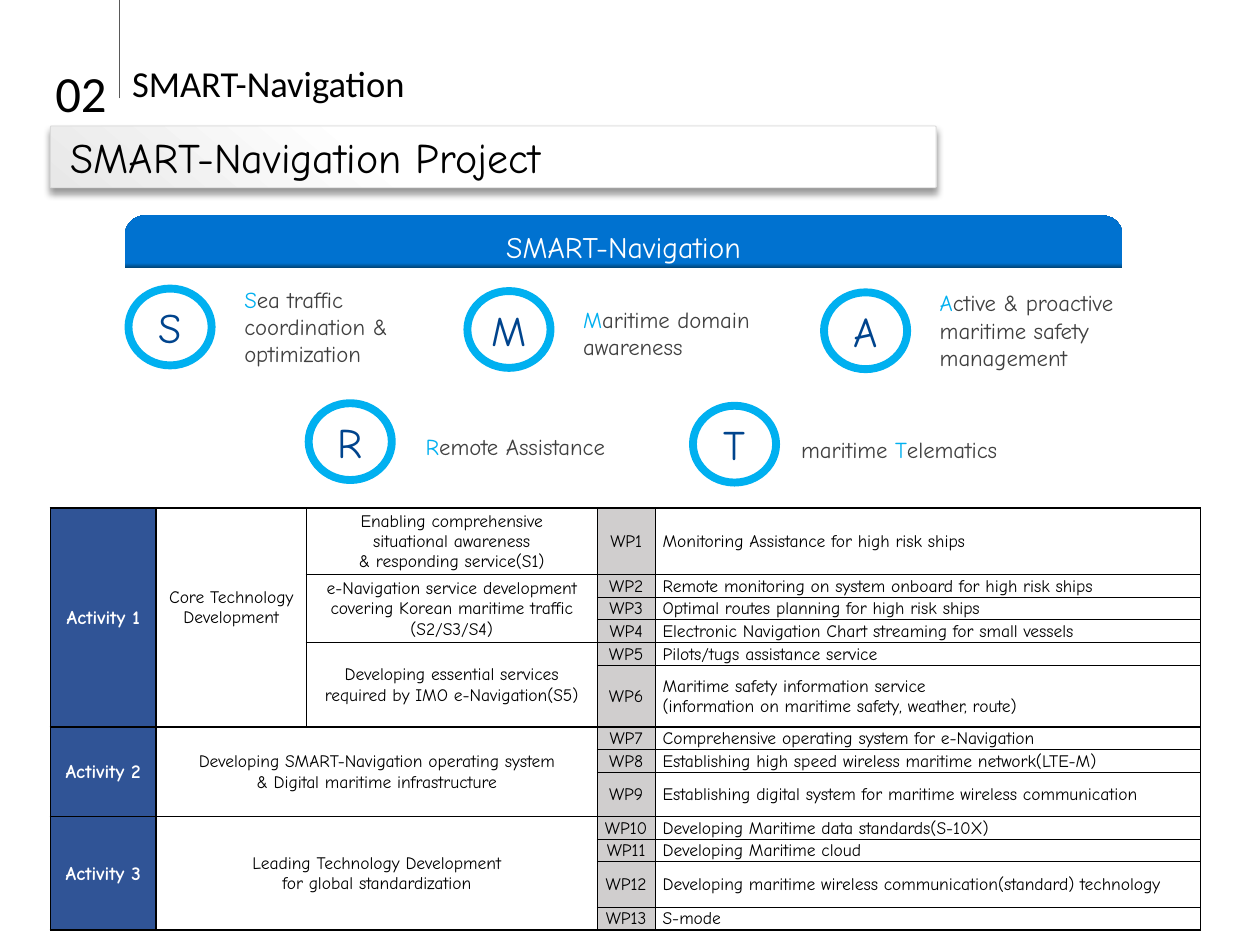
from lxml import etree
from pptx import Presentation
from pptx.dml.color import RGBColor
from pptx.enum.shapes import MSO_CONNECTOR, MSO_SHAPE
from pptx.enum.text import MSO_ANCHOR, MSO_AUTO_SIZE, PP_ALIGN
from pptx.oxml.ns import qn
from pptx.util import Inches, Pt

BODY_FONT, HEADER_FONT = "Comic Neue", "Calibri"
BLACK, WHITE, CYAN, GREY = "000000", "FFFFFF", "00B0F0", "404040"

# Letter, circle position, caption, caption box
BADGES = [
    ("S", (1.02, 2.29), "Sea traffic coordination & optimization", (1.84, 2.21, 1.68, 0.76)),
    ("M", (3.71, 2.31), "Maritime domain awareness", (4.53, 2.37, 1.91, 0.54)),
    ("A", (6.54, 2.32), "Active & proactive maritime safety management", (7.36, 2.24, 1.91, 0.76)),
    ("R", (2.45, 3.2), "Remote Assistance", (3.28, 3.38, 1.91, 0.32)),
    ("T", (5.5, 3.22), "maritime Telematics", (6.26, 3.3, 1.91, 0.54)),
]

COLUMN_WIDTHS = [0.84, 1.19, 2.31, 0.46, 4.33]
WORK_PACKAGES = [  # description, row height
    ("Monitoring Assistance for high risk ships", 0.53),
    ("Remote monitoring on system onboard for high risk ships", 0.18),
    ("Optimal routes planning for high risk ships", 0.18),
    ("Electronic Navigation Chart streaming for small vessels", 0.18),
    ("Pilots/tugs assistance service", 0.18),
    ("Maritime safety information service\n(information on maritime safety, weather, route)", 0.49),
    ("Comprehensive operating system for e-Navigation", 0.18),
    ("Establishing high speed wireless maritime network(LTE-M)", 0.18),
    ("Establishing digital system for maritime wireless communication", 0.35),
    ("Developing Maritime data standards(S-10X)", 0.18),
    ("Developing Maritime cloud", 0.18),
    ("Developing maritime wireless communication(standard) technology", 0.36),
    ("S-mode", 0.18),
]
GROUPS = [  # row, column, rows spanned, columns spanned, text
    (0, 0, 6, 1, "Activity 1"),
    (0, 1, 6, 1, "Core Technology\nDevelopment"),
    (0, 2, 1, 1, "Enabling comprehensive\nsituational awareness\n& responding service(S1)"),
    (1, 2, 3, 1, "e-Navigation service development\ncovering Korean maritime traffic\n(S2/S3/S4)"),
    (4, 2, 2, 1, "Developing essential services\nrequired by IMO e-Navigation(S5)"),
    (6, 0, 3, 1, "Activity 2"),
    (6, 1, 3, 2, "Developing SMART-Navigation operating system\n& Digital maritime infrastructure"),
    (9, 0, 4, 1, "Activity 3"),
    (9, 1, 4, 2, "Leading Technology Development\nfor global standardization"),
]
HEAVY_ROW_LINES, HEAVY_COLUMN_LINES = (0, 6, 9, 13), (0, 1, 5)


def rgb(color):
    return RGBColor.from_string(color)


def inches(box):
    return [Inches(value) for value in box]


def style_run(run, size, color, name=BODY_FONT, bold=False):
    run.font.size, run.font.name, run.font.bold = Pt(size), name, bold
    run.font.color.rgb = rgb(color)


def set_text(text_frame, text, size, color, name=BODY_FONT, align=PP_ALIGN.LEFT, bold=False):
    text_frame.text = text
    text_frame.word_wrap = True
    text_frame.vertical_anchor = MSO_ANCHOR.MIDDLE
    for paragraph in text_frame.paragraphs:
        paragraph.alignment = align
        for run in paragraph.runs:
            style_run(run, size, color, name, bold)


def set_gradient(shape, stops, angle):
    shape.fill.gradient()
    gradient = shape._element.spPr.find(qn("a:gradFill"))
    for child in list(gradient):
        gradient.remove(child)
    stop_list = etree.SubElement(gradient, qn("a:gsLst"))
    for position, color in stops:
        stop = etree.SubElement(stop_list, qn("a:gs"), pos=str(position * 1000))
        etree.SubElement(stop, qn("a:srgbClr"), val=color)
    etree.SubElement(gradient, qn("a:lin"), ang=str(angle * 60000), scaled="0")


def add_drop_shadow(shape):
    effects = shape._element.spPr.find(qn("a:effectLst"))
    shadow = etree.SubElement(effects, qn("a:outerShdw"), blurRad=str(Pt(4)), dist=str(Pt(3)),
                              dir="5400000", algn="t", rotWithShape="0")
    color = etree.SubElement(shadow, qn("a:srgbClr"), val=BLACK)
    etree.SubElement(color, qn("a:alpha"), val="40000")


def add_plain_shape(slide, kind, box):
    shape = slide.shapes.add_shape(kind, *inches(box))
    shape.shadow.inherit = False
    return shape


def add_header(slide, left, top):
    """Section number and name, set as raised text beside a vertical rule."""
    rule_x = left + 0.61
    rule = slide.shapes.add_connector(MSO_CONNECTOR.STRAIGHT, *inches((rule_x, 0.78, rule_x, 0)))
    rule.line.color.rgb = rgb("595959")
    rule.line.width = Pt(0.5)
    etree.SubElement(rule._element.spPr, qn("a:effectLst"))
    for text, size, box in [("02", 50, (left, top, 1.01, 0.94)),
                            ("SMART-Navigation", 36, (rule_x, top + 0.18, 4.39, 0.39))]:
        label = slide.shapes.add_textbox(*inches(box))
        set_text(label.text_frame, text, size, BLACK, HEADER_FONT)
        run = label.text_frame.paragraphs[0].runs[0]
        run._r.get_or_add_rPr().set("baseline", "30000")


def add_title_banner(slide, box):
    banner = add_plain_shape(slide, MSO_SHAPE.ROUNDED_RECTANGLE, box)
    banner.adjustments[0] = 0.02
    set_gradient(banner, [(0, "E8E8E8"), (39, WHITE), (100, WHITE)], 310)
    banner.line.color.rgb = rgb("D9D9D9")
    banner.line.width = Pt(0.5)
    add_drop_shadow(banner)
    title = slide.shapes.title
    left, top, width, height = box
    title.left, title.top, title.width, title.height = inches((left + 0.06, top, width, height))
    set_text(title.text_frame, "SMART-Navigation Project", 24, BLACK)
    title.text_frame.auto_size = MSO_AUTO_SIZE.NONE
    slide.shapes._spTree.append(title._element)  # bring in front of the banner


def add_section_bar(slide, box):
    bar = add_plain_shape(slide, MSO_SHAPE.ROUND_2_SAME_RECTANGLE, box)
    bar.adjustments[0], bar.adjustments[1] = 0.38, 0
    set_gradient(bar, [(0, "00416F"), (10, "0072D0"), (100, "0072D0")], 270)
    bar.line.fill.background()
    set_text(bar.text_frame, "SMART-Navigation", 17, WHITE, align=PP_ALIGN.CENTER)
    bar.text_frame.margin_top, bar.text_frame.margin_bottom = Inches(0.02), 0


def add_badge(slide, letter, position, caption, caption_box):
    circle = add_plain_shape(slide, MSO_SHAPE.OVAL, (*position, 0.66, 0.61))
    circle.fill.solid()
    circle.fill.fore_color.rgb = rgb(WHITE)
    circle.line.color.rgb = rgb(CYAN)
    circle.line.width = Pt(4.5)
    set_text(circle.text_frame, letter, 24, "00448D", align=PP_ALIGN.CENTER)

    text_frame = slide.shapes.add_textbox(*inches(caption_box)).text_frame
    text_frame.word_wrap = True
    text_frame.vertical_anchor = MSO_ANCHOR.MIDDLE
    for part in filter(None, caption.partition(letter)):
        run = text_frame.paragraphs[0].add_run()
        run.text = part
        style_run(run, 13, CYAN if part == letter else GREY)


def set_borders(cell, row, column):
    bottom = row + (cell.span_height if cell.is_merge_origin else 1)
    right = column + (cell.span_width if cell.is_merge_origin else 1)
    heavy = {
        "a:lnL": column in HEAVY_COLUMN_LINES,
        "a:lnR": right in HEAVY_COLUMN_LINES and not (right == 5 and 6 <= row < 9),
        "a:lnT": row in HEAVY_ROW_LINES,
        "a:lnB": bottom in HEAVY_ROW_LINES,
    }
    properties = cell._tc.get_or_add_tcPr()
    for index, (tag, is_heavy) in enumerate(heavy.items()):
        line = etree.Element(qn(tag), w=str(Pt(1 if is_heavy else 0.5)))
        fill = etree.SubElement(line, qn("a:solidFill"))
        etree.SubElement(fill, qn("a:srgbClr"), val=BLACK)
        properties.insert(index, line)


def fill_cell(cell, text, fill=None, size=10, color=BLACK, align=PP_ALIGN.CENTER, bold=False):
    set_text(cell.text_frame, text, size, color, align=align, bold=bold)
    if fill:
        cell.fill.solid()
        cell.fill.fore_color.rgb = rgb(fill)


def add_work_table(slide, left, top):
    heights = [height for _, height in WORK_PACKAGES]
    box = (left, top, sum(COLUMN_WIDTHS), sum(heights))
    table = slide.shapes.add_table(len(heights), len(COLUMN_WIDTHS), *inches(box)).table
    table.first_row = table.horz_banding = False
    for column, width in zip(table.columns, COLUMN_WIDTHS):
        column.width = Inches(width)
    for row, height in zip(table.rows, heights):
        row.height = Inches(height)
    for row, column, row_span, column_span, _ in GROUPS:
        if row_span * column_span > 1:
            table.cell(row, column).merge(table.cell(row + row_span - 1, column + column_span - 1))
    for row in range(len(heights)):
        for column in range(len(COLUMN_WIDTHS)):
            cell = table.cell(row, column)
            cell.margin_left = cell.margin_right = cell.margin_top = Inches(0.01)
            cell.margin_bottom = 0
            cell.vertical_anchor = MSO_ANCHOR.MIDDLE
            cell.fill.background()
            set_borders(cell, row, column)
            for paragraph in cell.text_frame.paragraphs:
                paragraph.font.size = Pt(10)
    for row, column, _, _, text in GROUPS:
        if column == 0:
            fill_cell(table.cell(row, 0), text, "305496", 11, WHITE, bold=True)
        else:
            fill_cell(table.cell(row, column), text)
    table.cell(0, 1).margin_bottom = Inches(0.16)
    for row, (description, _) in enumerate(WORK_PACKAGES):
        fill_cell(table.cell(row, 3), f"WP{row + 1}", "D0CECE")
        fill_cell(table.cell(row, 4), description, align=PP_ALIGN.LEFT)
        table.cell(row, 4).margin_left = Inches(0.06)


def main():
    presentation = Presentation()
    presentation.slide_width, presentation.slide_height = Inches(10), Inches(7.5)
    slide = presentation.slides.add_slide(presentation.slide_layouts[5])
    add_header(slide, 0.34, 0.35)
    add_title_banner(slide, (0.4, 1, 7.03, 0.49))
    add_work_table(slide, 0.4, 4.03)
    add_section_bar(slide, (0.99, 1.71, 7.92, 0.42))
    for badge in BADGES:
        add_badge(slide, *badge)
    presentation.save("out.pptx")


if __name__ == "__main__":
    main()
